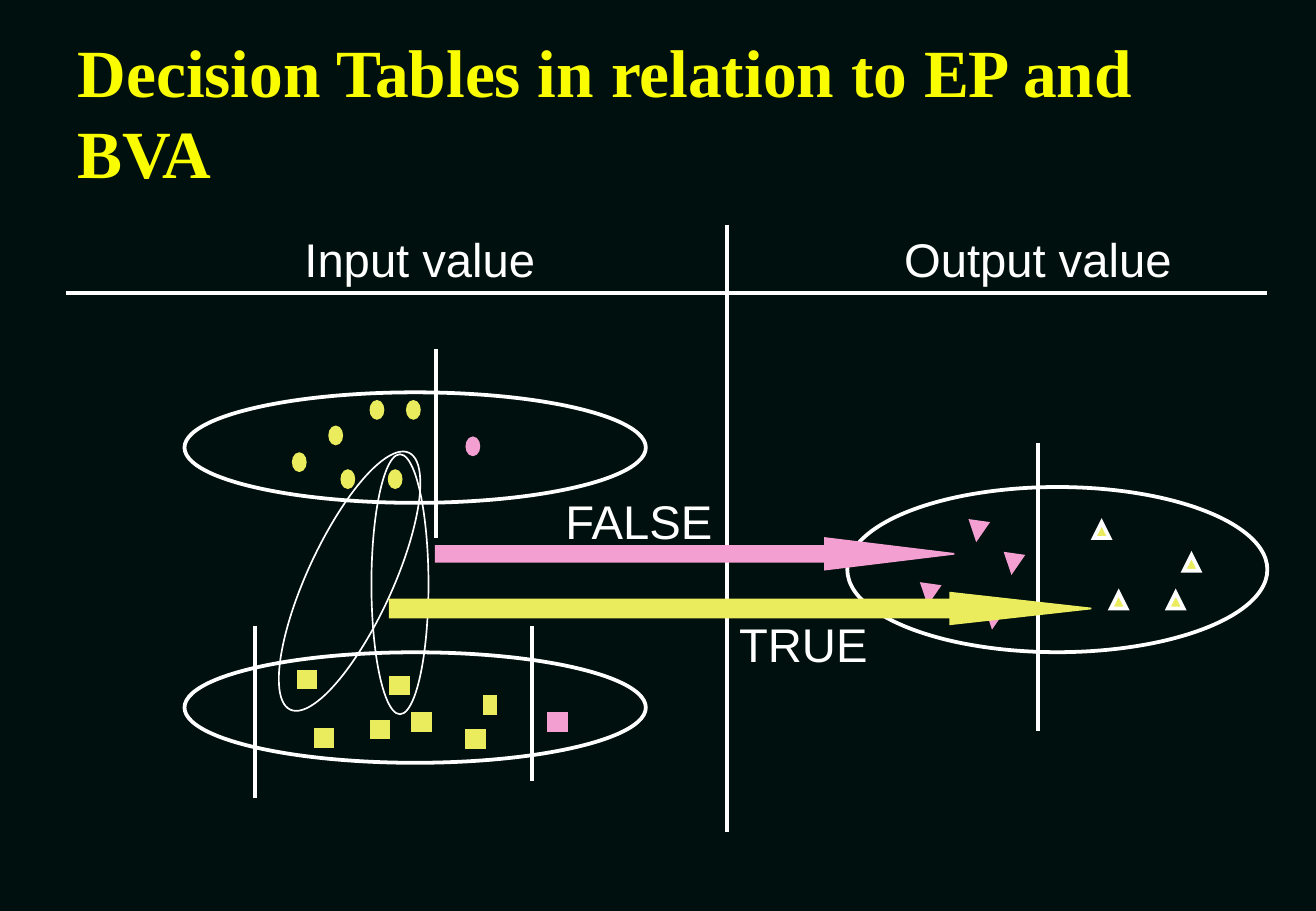
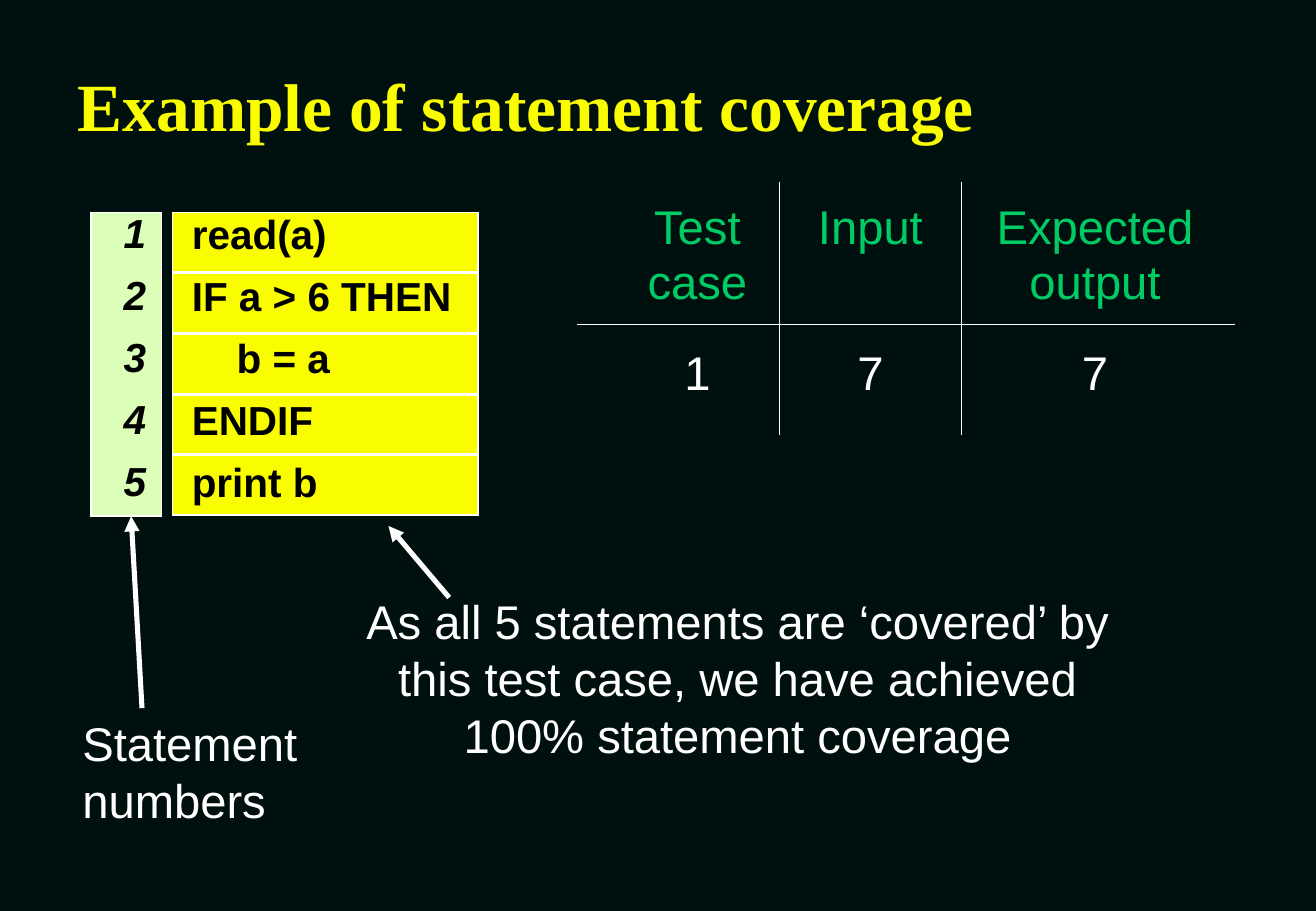
import pptx
import pptx.util
import pptx.dml.color
import pptx.enum.shapes
import pptx.enum.text
import pptx.oxml.ns
from lxml import etree

Inches, Pt = pptx.util.Inches, pptx.util.Pt
qn = pptx.oxml.ns.qn
SHAPE = pptx.enum.shapes.MSO_SHAPE
ALIGN = pptx.enum.text.PP_ALIGN
ANCHOR = pptx.enum.text.MSO_ANCHOR

COLORS = {"background": "00100E", "title": "FAFD00", "white": "FFFFFF", "black": "000000",
          "valid": "EAEC5E", "invalid": "F39FD1", "heading": "00CC66",
          "numbers": "DBFFB8", "code": "FAFD00"}

# Content: decision tables
DECISION_TITLE = "Decision Tables in relation to EP and BVA"
DECISION_LABELS = [("Input value", 2.41, 1.85, 2.1), ("Output value", 7.35, 1.85, 2.4),
                   ("FALSE", 4.56, 4, 1.43), ("TRUE", 5.99, 5.02, 1.4)]
# Each group: shape, rotation, size, fill, line, positions
MARKS = [
    (SHAPE.ISOSCELES_TRIANGLE, 188, (0.13, 0.13), "invalid", "invalid",
     [(7.59, 4.82), (8.12, 5.02), (8.28, 4.57), (7.99, 4.3)]),
    (SHAPE.ISOSCELES_TRIANGLE, 0, (0.13, 0.13), "valid", "white",
     [(9.15, 4.88), (9.62, 4.88), (9.75, 4.57), (9.01, 4.3)]),
    (SHAPE.OVAL, 0, (0.09, 0.13), "valid", "valid",
     [(3.06, 3.31), (2.42, 3.74), (3.36, 3.31), (2.82, 3.88), (2.72, 3.52), (3.21, 3.88)]),
    (SHAPE.OVAL, 0, (0.09, 0.13), "invalid", "invalid", [(3.85, 3.61)]),
    (SHAPE.RECTANGLE, 0, (0.14, 0.13), "valid", "valid",
     [(2.46, 5.53), (3.06, 5.94), (3.85, 6.02), (3.4, 5.88), (2.6, 6.01), (3.22, 5.58)]),
    (SHAPE.RECTANGLE, 0, (0.09, 0.13), "valid", "valid", [(3.99, 5.74)]),
    (SHAPE.RECTANGLE, 0, (0.14, 0.13), "invalid", "invalid", [(4.52, 5.88)]),
]
# Box, line width, rotation
DOMAINS = [((6.98, 4.01, 3.46, 1.36), 2.25, 0), ((1.52, 3.23, 3.8, 0.91), 2.25, 0),
           ((1.52, 5.37, 3.8, 0.91), 2.25, 0), ((3.06, 3.74, 0.47, 2.14), 1, 0),
           ((2.53, 3.62, 0.7, 2.33), 1, 24.8)]
DIVIDERS = [(5.99, 1.85, 5.99, 6.85), (0.54, 2.41, 10.44, 2.41), (8.55, 3.65, 8.55, 6.02),
            (3.59, 2.87, 3.59, 4.43), (4.38, 5.15, 4.38, 6.43), (2.1, 5.15, 2.1, 6.57)]
# Box, shaft and head adjustments, fill
FLOWS = [((3.59, 4.43, 4.27, 0.26), (0.5, 4.1), "invalid"),
         ((3.21, 4.88, 5.78, 0.26), (0.57, 4.47), "valid")]

# Content: statement coverage
COVERAGE_TITLE = "Example of statement coverage"
CODE = ["read(a)", "IF a > 6 THEN", "    b = a", "ENDIF", "print b"]
TEST_ROWS = [["Test\ncase", "Input", "Expected\noutput"], ["1", "7", "7"]]
COLUMN_EDGES = [4.75, 6.42, 7.92, 10.17]
ROW_EDGES = [1.5, 2.67, 3.58]
CONCLUSION = ["As all 5 statements are ‘covered’ by", "this test case, we have achieved",
              "100% statement coverage"]
POINTERS = [(3.7, 4.92, 3.2, 4.33), (1.17, 5.83, 1.08, 4.25)]


def rgb(name):
    return pptx.dml.color.RGBColor.from_string(COLORS[name])


def style_font(font, size, color, name="Arial", bold=False, italic=False):
    font.name, font.size, font.bold, font.italic = name, Pt(size), bold, italic
    font.color.rgb = rgb(color)


def add_slide(prs, title, spacing=1.0):
    s = prs.slides.add_slide(prs.slide_layouts[5])
    sp = s.shapes.title
    sp.left, sp.top, sp.width, sp.height = map(Inches, (0.54, 0.58, 9.21, 0.67))
    tf = sp.text_frame
    tf.text = title
    tf.auto_size = pptx.enum.text.MSO_AUTO_SIZE.NONE
    tf.vertical_anchor = ANCHOR.MIDDLE
    p = tf.paragraphs[0]
    p.alignment, p.line_spacing = ALIGN.LEFT, spacing
    style_font(p.font, 40, "title", "Times New Roman", bold=True)
    return s


def add_shape(s, kind, box, fill=None, line="white", width=1, rotation=0):
    sp = s.shapes.add_shape(kind, *map(Inches, box))
    sp.shadow.inherit = False
    sp.rotation = rotation
    if fill:
        sp.fill.solid()
        sp.fill.fore_color.rgb = rgb(fill)
    else:
        sp.fill.background()
    sp.line.color.rgb = rgb(line)
    sp.line.width = Pt(width)
    etree.SubElement(sp.line._get_or_add_ln(), qn("a:miter"), lim="800000")
    return sp


def add_line(s, ends, width, arrow=False):
    cxn = s.shapes.add_connector(pptx.enum.shapes.MSO_CONNECTOR.STRAIGHT, *map(Inches, ends))
    cxn.line.color.rgb = rgb("white")
    cxn.line.width = Pt(width)
    if arrow:
        etree.SubElement(cxn.line._get_or_add_ln(), qn("a:tailEnd"), type="triangle")
    etree.SubElement(cxn._element.spPr, qn("a:effectLst"))


def add_text(s, lines, box, size=28, color="white", align=ALIGN.LEFT, spacing=1.0,
             before=0, inset=(0.1, 0.05), bold=False, italic=False):
    tf = s.shapes.add_textbox(*map(Inches, box)).text_frame
    tf.word_wrap = False
    tf.margin_left = tf.margin_right = Inches(inset[0])
    tf.margin_top = tf.margin_bottom = Inches(inset[1])
    for i, line in enumerate(lines):
        p = tf.add_paragraph() if i else tf.paragraphs[0]
        p.text = line
        p.alignment, p.line_spacing = align, spacing
        if i and before:
            p.space_before = Pt(before)
        style_font(p.font, size, color, bold=bold, italic=italic)


def set_borders(cell, visible):
    """Draw a white line on the visible sides and none on the others."""
    for side in "LRTB":
        ln = etree.SubElement(cell._tc.get_or_add_tcPr(), qn(f"a:ln{side}"), w=str(Pt(1)))
        if side in visible:
            fill = etree.SubElement(ln, qn("a:solidFill"))
            etree.SubElement(fill, qn("a:srgbClr"), val=COLORS["white"])
        else:
            etree.SubElement(ln, qn("a:noFill"))


def add_test_table(s):
    left, top = COLUMN_EDGES[0], ROW_EDGES[0]
    table = s.shapes.add_table(len(TEST_ROWS), len(TEST_ROWS[0]), Inches(left), Inches(top),
                               Inches(COLUMN_EDGES[-1] - left),
                               Inches(ROW_EDGES[-1] - top)).table
    table.first_row = table.horz_banding = False
    for column, start, end in zip(table.columns, COLUMN_EDGES, COLUMN_EDGES[1:]):
        column.width = Inches(end - start)
    for row, start, end in zip(table.rows, ROW_EDGES, ROW_EDGES[1:]):
        row.height = Inches(end - start)
    last = len(TEST_ROWS[0]) - 1
    for r, row in enumerate(TEST_ROWS):
        for c, text in enumerate(row):
            cell = table.cell(r, c)
            set_borders(cell, ("L" if c else "") + ("R" if c < last else "") + "BT"[r])
            cell.fill.background()
            cell.margin_left = Inches(0.1 if c else 0.42)
            cell.margin_right = Inches(0.15 if c == last else 0.1)
            cell.margin_top = Inches(0.17 if r else 0.14)
            cell.text = text
            for p in cell.text_frame.paragraphs:
                p.alignment, p.line_spacing = ALIGN.CENTER, 1.05
                style_font(p.font, 28, "white" if r else "heading")


def build_decision_slide(prs):
    s = add_slide(prs, DECISION_TITLE)
    for kind, rotation, size, fill, line, positions in MARKS:
        for position in positions:
            add_shape(s, kind, position + size, fill, line, 2.25, rotation)
    for box, width, rotation in DOMAINS:
        add_shape(s, SHAPE.OVAL, box, width=width, rotation=rotation)
    for ends in DIVIDERS:
        add_line(s, ends, 2.25)
    for box, (shaft, head), color in FLOWS:
        sp = add_shape(s, SHAPE.RIGHT_ARROW, box, color, color)
        sp.adjustments[0], sp.adjustments[1] = shaft, head
    for text, left, top, width in DECISION_LABELS:
        add_text(s, [text], (left, top, width, 0.57))


def build_coverage_slide(prs):
    s = add_slide(prs, COVERAGE_TITLE, spacing=0.85)
    # Numbered program
    add_shape(s, SHAPE.RECTANGLE, (0.75, 1.75, 0.58, 2.5), "numbers")
    for i in range(len(CODE)):
        add_shape(s, SHAPE.RECTANGLE, (1.42, 1.75 + 0.5 * i, 2.52, 0.49), "code")
    listing = dict(size=24, color="black", spacing=0.86, before=12, bold=True)
    add_text(s, CODE, (1.51, 1.75, 2.49, 2.44), inset=(0.07, 0.03), **listing)
    add_text(s, [str(i + 1) for i in range(len(CODE))], (0.92, 1.72, 0.42, 2.41),
             italic=True, **listing)
    # Test case and remarks
    add_test_table(s)
    add_text(s, CONCLUSION, (2.91, 4.83, 6.33, 1.5), align=ALIGN.CENTER)
    add_text(s, ["Statement", "numbers"], (0.58, 5.83, 1.98, 1.03))
    for ends in POINTERS:
        add_line(s, ends, 3, arrow=True)


def main():
    prs = pptx.Presentation()
    prs.slide_width, prs.slide_height = Inches(10.84), Inches(7.5)
    fill = prs.slide_master.background.fill
    fill.solid()
    fill.fore_color.rgb = rgb("background")
    build_decision_slide(prs)
    build_coverage_slide(prs)
    prs.save("out.pptx")


if __name__ == "__main__":
    main()
